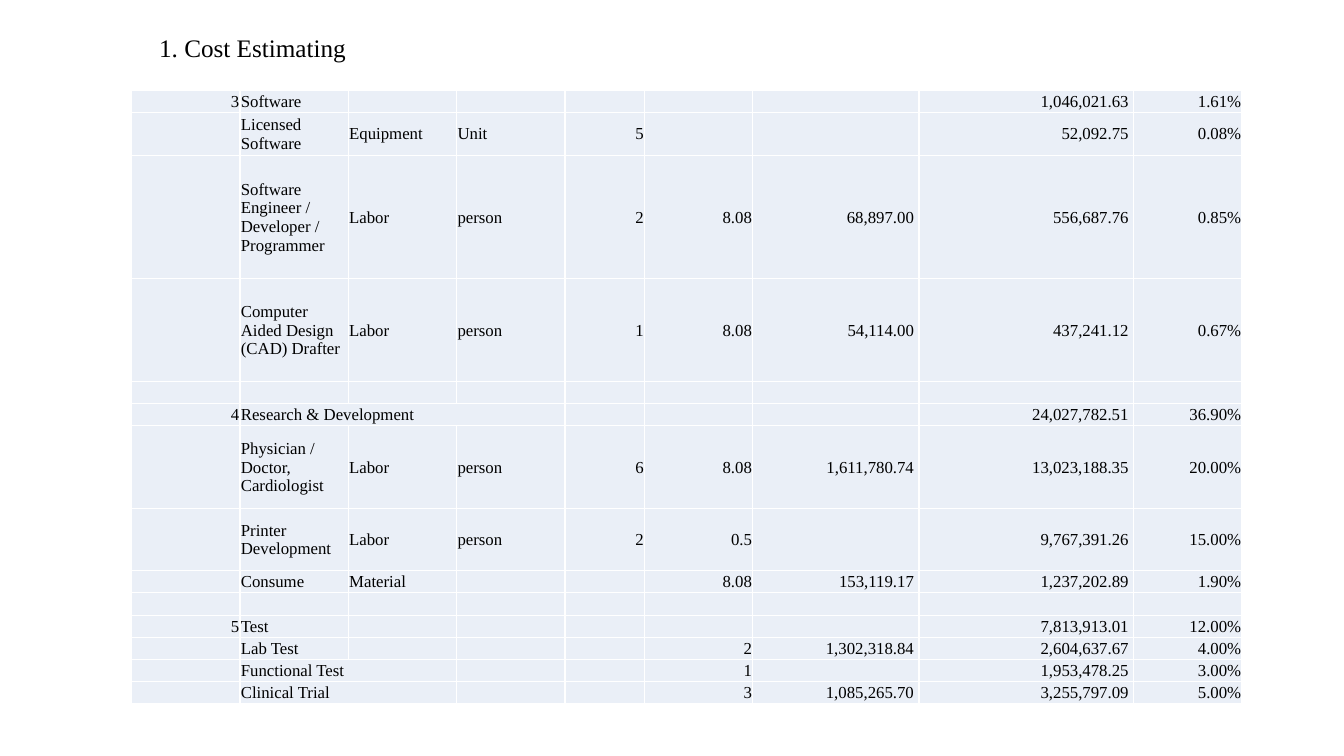
from pptx import Presentation, util as u
from pptx.dml import color
from pptx.enum import text
from pptx.oxml import parse_xml, ns

COLORS = {"ink": "000000", "cell": "EAEFF7", "border": "FFFFFF"}
FONT = "Times New Roman"
WIDE = 2.73
COLUMN_WIDTHS = [WIDE, WIDE, WIDE, WIDE, 2, WIDE, 4.19, 5.41, WIDE]
LINE_HEIGHT = 0.56
TALL_ROWS = {1: 1.09, 2: 3.1, 3: 2.59, 6: 2.08, 7: 1.57}
MERGES = {5: 3, 12: 2, 13: 2}
TEXT_COLUMNS = (1, 2, 3)
COST_ROWS = [
    ["3", "Software", "", "", "", "", "", "1,046,021.63 ", "1.61%"],
    ["", "Licensed Software", "Equipment", "Unit", "5", "", "", "52,092.75 ", "0.08%"],
    ["", "Software Engineer / Developer / Programmer", "Labor", "person", "2", "8.08",
     "68,897.00 ", "556,687.76 ", "0.85%"],
    ["", "Computer Aided Design (CAD) Drafter", "Labor", "person", "1", "8.08",
     "54,114.00 ", "437,241.12 ", "0.67%"],
    [""] * 9,
    ["4", "Research & Development", "", "", "", "", "", "24,027,782.51 ", "36.90%"],
    ["", "Physician / Doctor, Cardiologist", "Labor", "person", "6", "8.08",
     "1,611,780.74 ", "13,023,188.35 ", "20.00%"],
    ["", "Printer Development", "Labor", "person", "2", "0.5", "", "9,767,391.26 ", "15.00%"],
    ["", "Consume", "Material", "", "", "8.08", "153,119.17 ", "1,237,202.89 ", "1.90%"],
    [""] * 9,
    ["5", "Test", "", "", "", "", "", "7,813,913.01 ", "12.00%"],
    ["", "Lab Test", "", "", "", "2", "1,302,318.84 ", "2,604,637.67 ", "4.00%"],
    ["", "Functional Test", "", "", "", "1", "", "1,953,478.25 ", "3.00%"],
    ["", "Clinical Trial", "", "", "", "3", "1,085,265.70 ", "3,255,797.09 ", "5.00%"],
]


def format_text(para, size):
    """Apply the slide font, size and ink colour to a paragraph's runs and its end."""
    para._p.get_or_add_endParaRPr().set("sz", str(size * 100))
    for span in para.runs:
        span.font.name = FONT
        span.font.size = u.Pt(size)
        span.font.color.rgb = color.RGBColor.from_string(COLORS["ink"])


def add_borders(cell):
    """Draw a one-point line on each side of a table cell."""
    properties = cell._tc.get_or_add_tcPr()
    for side in "LRTB":
        properties.append(parse_xml(
            f'<a:ln{side} {ns.nsdecls("a")} w="12700"><a:solidFill>'
            f'<a:srgbClr val="{COLORS["border"]}"/></a:solidFill></a:ln{side}>'))


def fill_cell(cell, words, align):
    """Write one cell with its margins, borders and fill."""
    cell.margin_left = cell.margin_right = cell.margin_top = u.Cm(0.02)
    cell.margin_bottom = 0
    cell.vertical_anchor = text.MSO_ANCHOR.MIDDLE
    add_borders(cell)
    cell.fill.solid()
    cell.fill.fore_color.rgb = color.RGBColor.from_string(COLORS["cell"])
    para = cell.text_frame.paragraphs[0]
    para.text = words
    para.alignment = align
    format_text(para, 12)


def add_title(page, box):
    """Place the heading in the given box."""
    frame = page.shapes.add_textbox(*map(u.Cm, box)).text_frame
    frame.word_wrap = False
    frame.auto_size = text.MSO_AUTO_SIZE.SHAPE_TO_FIT_TEXT
    frame.text = "1. Cost Estimating"
    format_text(frame.paragraphs[0], 18)


def add_cost_table(page, box):
    """Place the cost breakdown in the given box."""
    table = page.shapes.add_table(len(COST_ROWS), len(COLUMN_WIDTHS), *map(u.Cm, box)).table
    table.first_row = table.horz_banding = False
    for column, width in zip(table.columns, COLUMN_WIDTHS):
        column.width = u.Cm(width)
    for index, (row, values) in enumerate(zip(table.rows, COST_ROWS)):
        row.height = u.Cm(TALL_ROWS.get(index, LINE_HEIGHT))
        for place, words in enumerate(values):
            align = text.PP_ALIGN.LEFT if place in TEXT_COLUMNS else text.PP_ALIGN.RIGHT
            fill_cell(table.cell(index, place), words, align)
    for index, count in MERGES.items():
        table.cell(index, 1).merge(table.cell(index, count))


def build_deck():
    """Create the cost estimating slide and save it."""
    deck = Presentation()
    deck.slide_width, deck.slide_height = u.Cm(33.87), u.Cm(19.05)
    page = deck.slides.add_slide(deck.slide_layouts[6])
    add_title(page, (3.76, 0.69, 5.26, 1.02))
    add_cost_table(page, (3.32, 2.27, 27.98, 15.44))
    deck.save("out.pptx")


build_deck()
